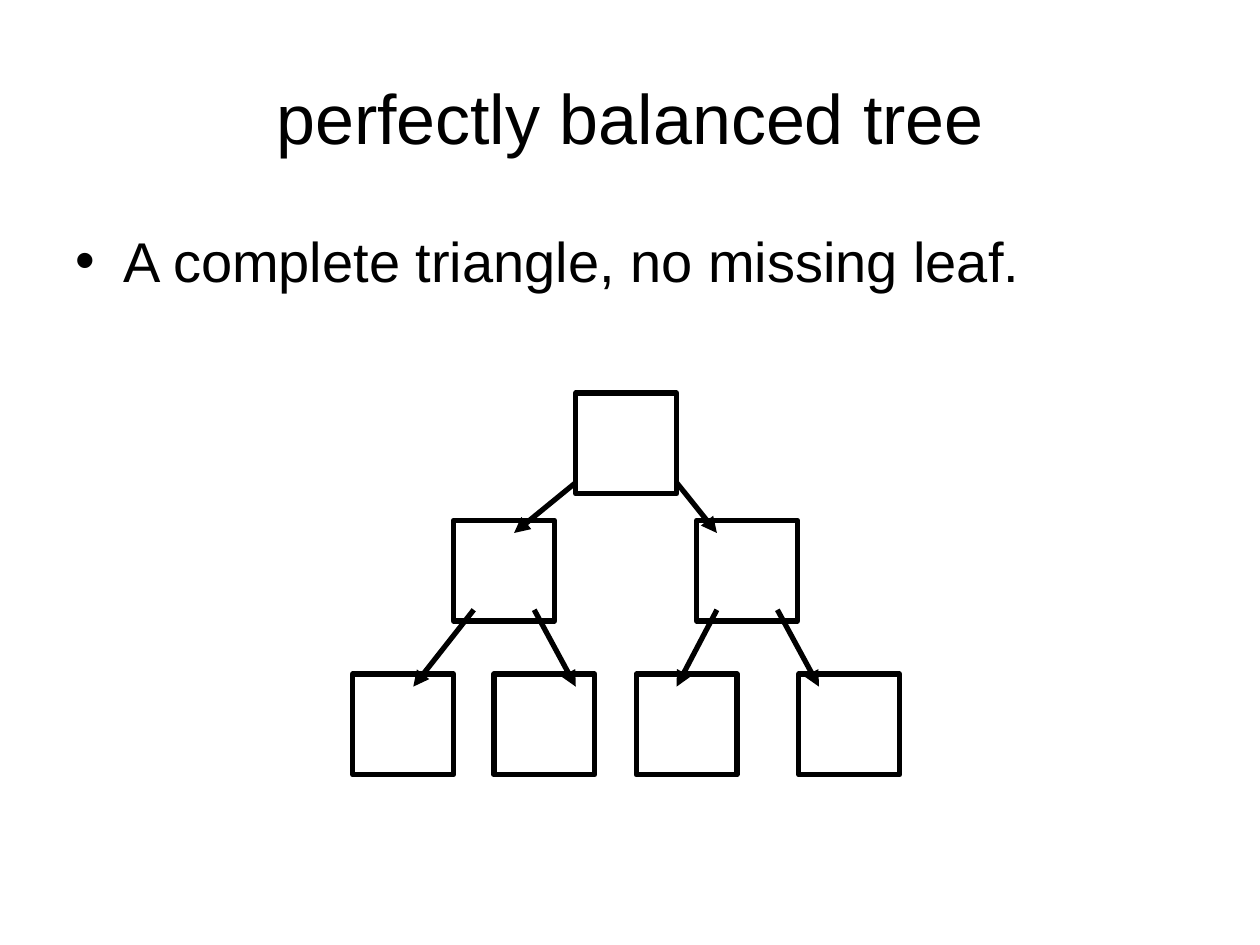
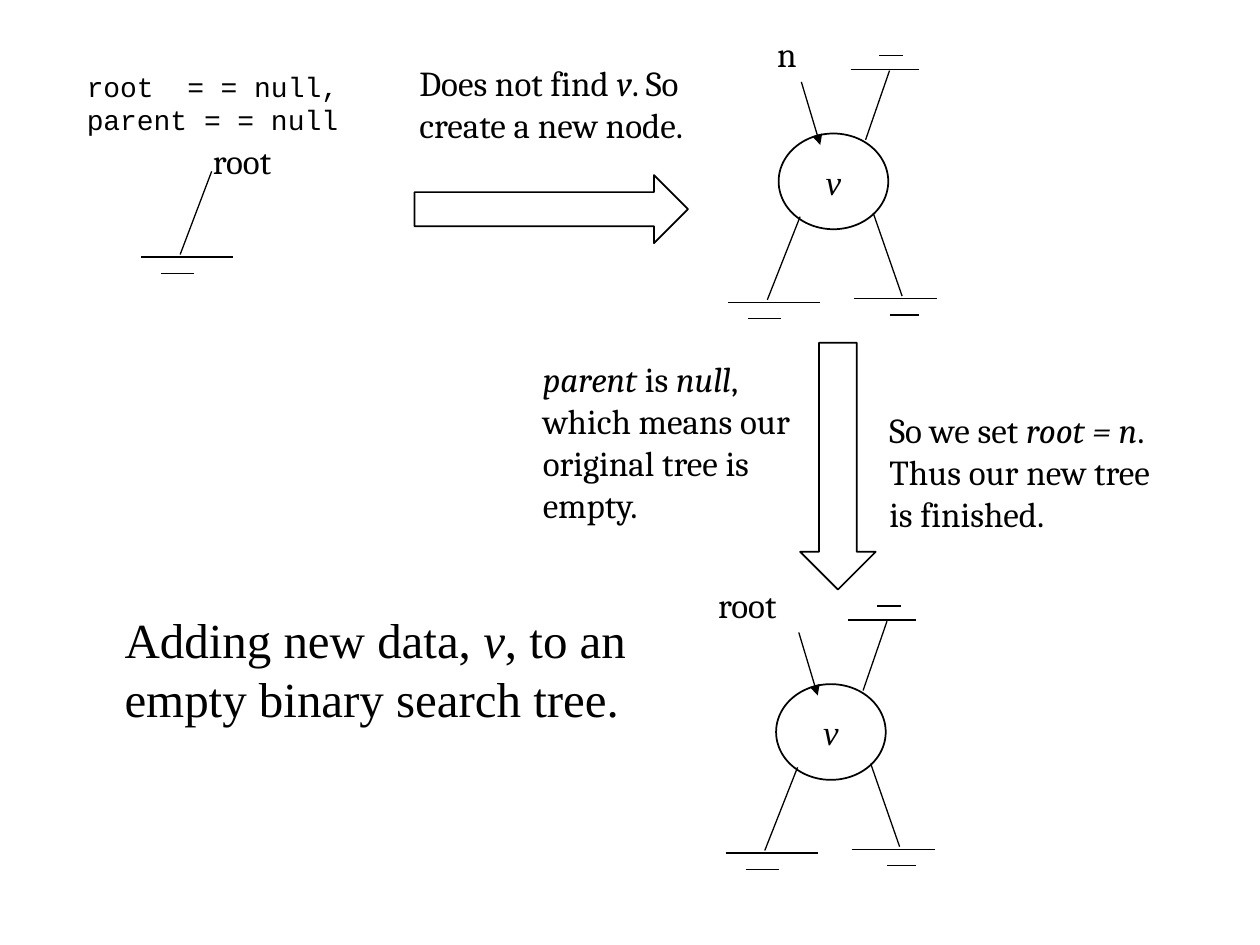
from dataclasses import dataclass

from lxml.etree import SubElement
from pptx import Presentation
from pptx.dml.color import RGBColor
from pptx.enum.shapes import MSO_CONNECTOR, MSO_SHAPE
from pptx.enum.text import MSO_ANCHOR, PP_ALIGN
from pptx.oxml.ns import qn
from pptx.shapes.autoshape import Shape
from pptx.slide import Slide
from pptx.text.text import TextFrame
from pptx.util import Inches, Pt

BLACK = RGBColor(0, 0, 0)
WHITE = RGBColor(255, 255, 255)
Point = tuple[float, float]
Frame = tuple[float, float, float, float]


@dataclass(frozen=True)
class TextStyle:
    font: str
    size: int
    align: PP_ALIGN = PP_ALIGN.LEFT
    anchor: MSO_ANCHOR = MSO_ANCHOR.TOP


TITLE = TextStyle("Arial", 40, PP_ALIGN.CENTER, MSO_ANCHOR.MIDDLE)
BODY = TextStyle("Arial", 32)
CODE = TextStyle("Courier New", 16)
NOTE = TextStyle("Cambria", 20)
CAPTION = TextStyle("Times New Roman", 28)
NODE_VALUE = TextStyle("Times New Roman", 20, PP_ALIGN.CENTER, MSO_ANCHOR.MIDDLE)


@dataclass(frozen=True)
class TreeBox:
    left: float
    top: float


@dataclass(frozen=True)
class TreeLink:
    parent: TreeBox
    child: TreeBox
    start_offset: float
    end_offset: float


@dataclass(frozen=True)
class Ground:
    long_bar: Point
    short_bar: Point
    long_gap: float = 0.02
    short_gap: float = 0.15


@dataclass(frozen=True)
class NullLink:
    start: Point
    end: Point
    ground: Ground


@dataclass(frozen=True)
class Label:
    text: str
    frame: Frame
    style: TextStyle = NOTE


BOX_SIZE = 0.8
ROOT = TreeBox(4.57, 3.12)
LEFT_CHILD, RIGHT_CHILD = (TreeBox(left, 4.13) for left in (3.6, 5.53))
LEAVES = [TreeBox(left, 5.35) for left in (2.8, 3.92, 5.05, 6.34)]
TREE_LINKS = [
    TreeLink(ROOT, LEFT_CHILD, 0, 0.48),
    TreeLink(ROOT, RIGHT_CHILD, 0.8, 0.16),
    TreeLink(LEFT_CHILD, LEAVES[0], 0.16, 0.48),
    TreeLink(LEFT_CHILD, LEAVES[1], 0.64, 0.65),
    TreeLink(RIGHT_CHILD, LEAVES[2], 0.16, 0.32),
    TreeLink(RIGHT_CHILD, LEAVES[3], 0.64, 0.16),
]

LEFT_GROUND = Ground((-0.31, 0.42), (-0.15, 0.11))
RIGHT_GROUND = Ground((-0.38, 0.28), (-0.1, 0.13))
PARENT_GROUND = Ground((-0.31, 0.23), (-0.08, 0.11), -0.01, -0.12)
EMPTY_ROOT = NullLink((1.68, 1.36), (1.43, 2.02), LEFT_GROUND)
NODE_LINKS = [
    NullLink((0.17, 0.66), (-0.09, 1.32), LEFT_GROUND),
    NullLink((0.75, 0.63), (0.98, 1.29), RIGHT_GROUND),
    NullLink((0.69, 0.05), (0.88, -0.5), PARENT_GROUND),
]
NODE_ORIGINS = [(6.18, 1.06), (6.16, 5.43)]

INSERT_LABELS = [
    Label("Does not find *v*. So create a new node.", (3.23, 0.44, 2.37, 1.38)),
    Label("n", (6.07, 0.21, 0.53, 0.58)),
    Label("root", (1.59, 1.06, 0.89, 0.49)),
    Label("*parent* is *null*, which means our original tree is empty.",
          (4.21, 2.79, 2.37, 1.65)),
    Label("So we set *root = n*. Thus our new tree is finished.",
          (6.96, 3.19, 2.37, 1.58)),
    Label("root", (5.6, 4.58, 0.98, 0.58)),
    Label("Adding new data, *v*, to an empty binary search tree.",
          (0.89, 4.79, 5, 1.04), CAPTION),
]


def write_text(text_frame: TextFrame, text: str, style: TextStyle, bullet: bool = False) -> None:
    text_frame.word_wrap = True
    text_frame.vertical_anchor = style.anchor
    for index, line in enumerate(text.split("\n")):
        paragraph = text_frame.add_paragraph() if index else text_frame.paragraphs[0]
        paragraph.alignment = style.align
        if bullet:
            properties = paragraph._p.get_or_add_pPr()
            properties.set("marL", str(Inches(0.38)))
            properties.set("indent", str(Inches(-0.38)))
            SubElement(properties, qn("a:buFont"), typeface="Arial")
            SubElement(properties, qn("a:buChar"), char="•")
        paragraph.font.name = style.font
        paragraph.font.size = Pt(style.size)
        paragraph.font.color.rgb = BLACK
        for position, part in enumerate(line.split("*")):
            if part:
                run = paragraph.add_run()
                run.text = part
                if position % 2:
                    run.font.italic = True


def add_label(slide: Slide, label: Label, bullet: bool = False) -> Shape:
    shape = slide.shapes.add_textbox(*map(Inches, label.frame))
    write_text(shape.text_frame, label.text, label.style, bullet)
    return shape


def add_outline(slide: Slide, kind: MSO_SHAPE, frame: Frame, width: float = 1) -> Shape:
    shape = slide.shapes.add_shape(kind, *map(Inches, frame))
    shape.shadow.inherit = False
    shape.fill.background()
    shape.line.color.rgb = BLACK
    shape.line.width = Pt(width)
    return shape


def add_line(slide: Slide, start: Point, end: Point, width: float = 0.75,
             arrow: bool = False) -> None:
    connector = slide.shapes.add_connector(MSO_CONNECTOR.STRAIGHT, *map(Inches, start + end))
    connector.line.color.rgb = BLACK
    connector.line.width = Pt(width)
    if arrow:
        SubElement(connector.line._get_or_add_ln(), qn("a:tailEnd"), type="triangle")
    SubElement(connector._element.spPr, qn("a:effectLst"))


def add_null_link(slide: Slide, link: NullLink, origin: Point = (0, 0)) -> None:
    x, y = origin[0] + link.end[0], origin[1] + link.end[1]
    add_line(slide, (origin[0] + link.start[0], origin[1] + link.start[1]), (x, y))
    ground = link.ground
    for (left, right), gap in ((ground.long_bar, ground.long_gap),
                               (ground.short_bar, ground.short_gap)):
        add_line(slide, (x + left, y + gap), (x + right, y + gap))


def add_data_node(slide: Slide, origin: Point) -> None:
    left, top = origin
    circle = add_outline(slide, MSO_SHAPE.OVAL, (left, top, 0.87, 0.76))
    write_text(circle.text_frame, "*v*", NODE_VALUE)
    for link in NODE_LINKS:
        add_null_link(slide, link, origin)
    add_line(slide, (left + 0.18, top - 0.41), (left + 0.33, top + 0.09), arrow=True)


def build_balanced_tree(slide: Slide) -> None:
    add_label(slide, Label("perfectly balanced tree", (0.5, 0.3, 9, 1.25), TITLE))
    add_label(slide, Label("A complete triangle, no missing leaf.", (0.5, 1.75, 9, 4.95), BODY),
              bullet=True)
    for box in (ROOT, LEFT_CHILD, RIGHT_CHILD, *LEAVES):
        shape = add_outline(slide, MSO_SHAPE.RECTANGLE,
                            (box.left, box.top, BOX_SIZE, BOX_SIZE), 3)
        shape.fill.solid()
        shape.fill.fore_color.rgb = WHITE
    for link in TREE_LINKS:
        add_line(slide, (link.parent.left + link.start_offset, link.parent.top + 0.71),
                 (link.child.left + link.end_offset, link.child.top + 0.1), 3, arrow=True)


def build_empty_tree_insert(slide: Slide) -> None:
    code = add_label(slide, Label("root  = = null,\nparent = = null",
                                  (0.59, 0.5, 2.59, 0.77), CODE))
    code.fill.solid()
    code.fill.fore_color.rgb = WHITE
    add_null_link(slide, EMPTY_ROOT)
    add_outline(slide, MSO_SHAPE.RIGHT_ARROW, (3.29, 1.39, 2.17, 0.54))
    down_arrow = add_outline(slide, MSO_SHAPE.RIGHT_ARROW, (5.67, 3.4, 1.96, 0.6))
    down_arrow.rotation = 90
    for origin in NODE_ORIGINS:
        add_data_node(slide, origin)
    for label in INSERT_LABELS:
        add_label(slide, label)


def main() -> None:
    presentation = Presentation()
    presentation.slide_width = Inches(10)
    presentation.slide_height = Inches(7.5)
    for build in (build_balanced_tree, build_empty_tree_insert):
        build(presentation.slides.add_slide(presentation.slide_layouts[6]))
    presentation.save("out.pptx")


if __name__ == "__main__":
    main()
